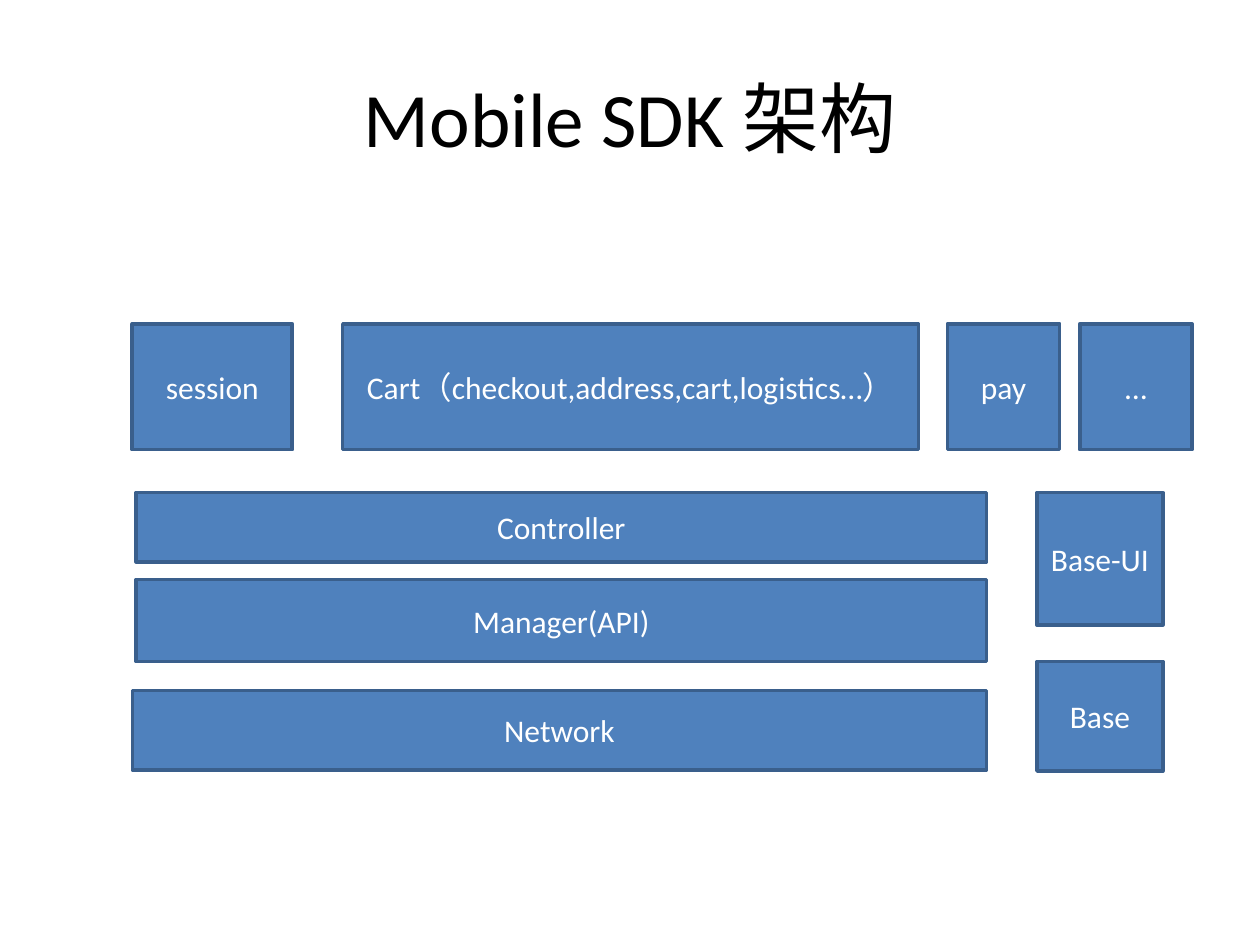
import pptx
import pptx.util
import pptx.dml.color
import pptx.enum.shapes
import pptx.enum.text

Inches = pptx.util.Inches
Pt = pptx.util.Pt


def paint(color, code):
    color.rgb = pptx.dml.color.RGBColor.from_string(code)


def write(shape, text, size, code):
    frame = shape.text_frame
    frame.word_wrap = True
    frame.vertical_anchor = pptx.enum.text.MSO_ANCHOR.MIDDLE
    line = frame.paragraphs[0]
    line.alignment = pptx.enum.text.PP_ALIGN.CENTER
    run = line.add_run()
    run.text = text
    run.font.name = "Calibri"
    run.font.size = Pt(size)
    paint(run.font.color, code)


def title(slide, left, top, width, height):
    box = slide.shapes.add_textbox(
        Inches(left), Inches(top), Inches(width), Inches(height))
    write(box, "Mobile SDK 架构", 44, "000000")


def block(slide, text, left, top, width, height):
    box = slide.shapes.add_shape(
        pptx.enum.shapes.MSO_SHAPE.RECTANGLE,
        Inches(left), Inches(top), Inches(width), Inches(height))
    box.shadow.inherit = False
    box.fill.solid()
    paint(box.fill.fore_color, "4F81BD")
    paint(box.line.color, "3A5F8C")
    box.line.width = Pt(2)
    write(box, text, 18, "FFFFFF")


def modules(slide, left, top, height):
    parts = [
        ("session", 0, 1.27),
        ("Cart（checkout,address,cart,logistics…）", 1.67, 4.57),
        ("pay", 6.47, 0.89),
        ("…", 7.52, 0.89),
    ]
    for text, shift, width in parts:
        block(slide, text, left + shift, top, width, height)


def layers(slide, left, top, width):
    parts = [
        ("Controller", 0.03, 0, 0.55),
        ("Manager(API)", 0.03, 0.69, 0.65),
        ("Network", 0, 1.57, 0.63),
    ]
    for text, inset, drop, height in parts:
        block(slide, text, left + inset, top + drop, width - inset, height)


def bases(slide, left, top, width):
    for text, drop, height in [("Base-UI", 0, 1.05), ("Base", 1.34, 0.87)]:
        block(slide, text, left, top + drop, width, height)


deck = pptx.Presentation()
deck.slide_width = Inches(10)
deck.slide_height = Inches(7.5)
slide = deck.slides.add_slide(deck.slide_layouts[6])
title(slide, 0.5, 0.3, 9, 1.25)
modules(slide, 1.05, 2.57, 1)
layers(slide, 1.05, 3.91, 6.78)
bases(slide, 8.23, 3.91, 1)
deck.save("out.pptx")
